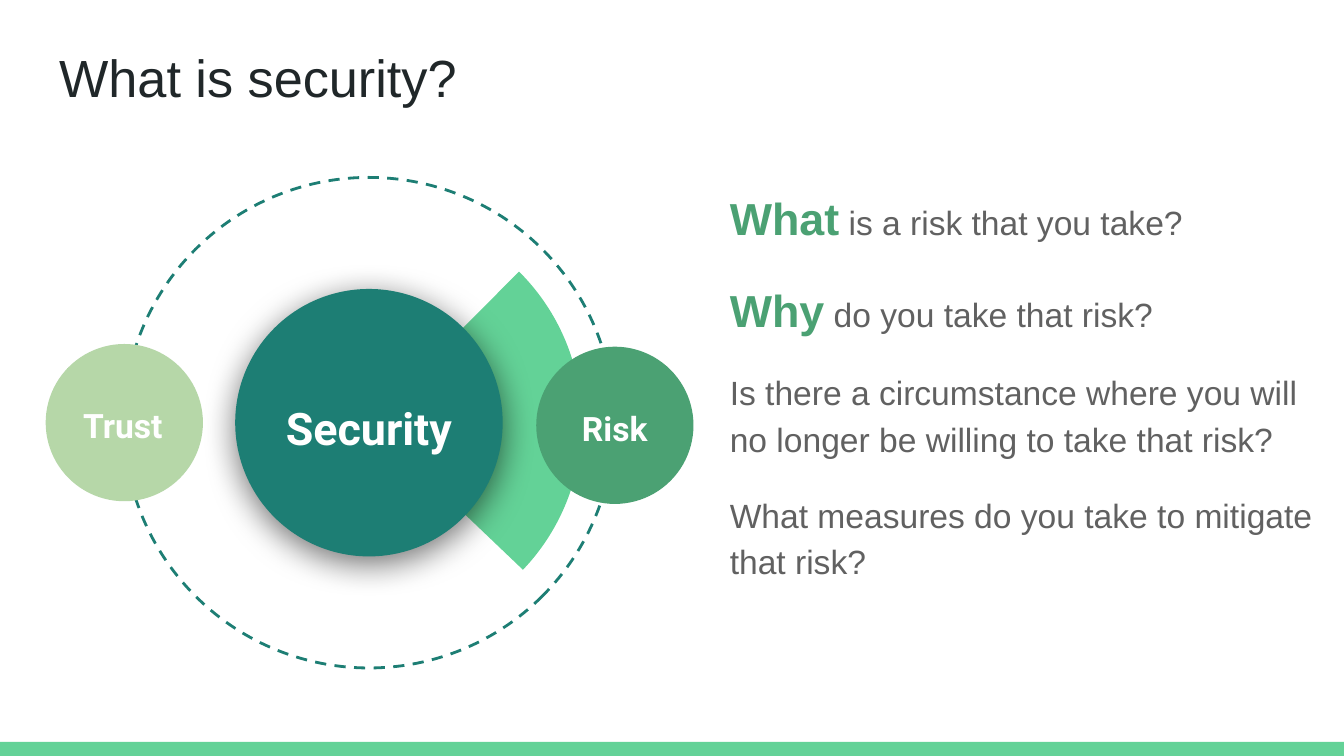
import lxml.etree
import pptx
import pptx.dml.color
import pptx.enum.dml
import pptx.enum.shapes
import pptx.enum.text
import pptx.oxml.ns
import pptx.util

Inches = pptx.util.Inches
Shapes = pptx.enum.shapes.MSO_SHAPE
Align = pptx.enum.text.PP_ALIGN
Anchor = pptx.enum.text.MSO_ANCHOR

MINT, TEAL, GREEN, SAGE = "63D297", "1D7E74", "4BA173", "B6D7A8"
WHITE, GREY, INK = "FFFFFF", "616161", "202729"

QUESTIONS = [
    [("What", 24, GREEN, True), (" is a risk that you take?", 18, GREY, False)],
    [("Why", 24, GREEN, True), (" do you take that risk?", 18, GREY, False)],
    [("Is there a circumstance where you will no longer be willing to take that risk?",
      18, GREY, False)],
    [("What measures do you take to mitigate that risk?", 18, GREY, False)],
]


def color(value):
    return pptx.dml.color.RGBColor.from_string(value)


def add_run(paragraph, text, size, fill, bold=False, font="Arial"):
    run = paragraph.add_run()
    run.text = text
    run.font.name = font
    run.font.size = pptx.util.Pt(size)
    run.font.bold = bold
    run.font.color.rgb = color(fill)


def add_shape(slide, kind, left, top, width, height, fill):
    shape = slide.shapes.add_shape(
        kind, Inches(left), Inches(top), Inches(width), Inches(height))
    shape.shadow.inherit = False
    shape.line.fill.background()
    if fill:
        shape.fill.solid()
        shape.fill.fore_color.rgb = color(fill)
    else:
        shape.fill.background()
    return shape


def set_frame(shape, anchor):
    frame = shape.text_frame
    frame.word_wrap = True
    frame.auto_size = pptx.enum.text.MSO_AUTO_SIZE.NONE
    frame.vertical_anchor = anchor
    frame.margin_left = frame.margin_right = Inches(0.1)
    frame.margin_top = frame.margin_bottom = Inches(0.1)
    return frame


def place(shape, left, top, width, height):
    shape.left, shape.top = Inches(left), Inches(top)
    shape.width, shape.height = Inches(width), Inches(height)


def add_soft_shadow(shape):
    effects = shape._element.spPr.find(pptx.oxml.ns.qn("a:effectLst"))
    shadow = lxml.etree.SubElement(
        effects, pptx.oxml.ns.qn("a:outerShdw"), blurRad=str(pptx.util.Pt(18)),
        dist=str(pptx.util.Pt(4)), dir="5400000", algn="bl", rotWithShape="0")
    tint = lxml.etree.SubElement(shadow, pptx.oxml.ns.qn("a:srgbClr"), val="000000")
    lxml.etree.SubElement(tint, pptx.oxml.ns.qn("a:alpha"), val="55000")


def add_label(slide, text, size, box, fill):
    label = add_shape(slide, Shapes.RECTANGLE, *box, fill)
    frame = set_frame(label, Anchor.MIDDLE)
    paragraph = frame.paragraphs[0]
    paragraph.alignment = Align.CENTER
    paragraph.line_spacing = 1.15
    add_run(paragraph, text, size, WHITE, True, "Roboto")


def add_disc(slide, text, size, left, top, diameter, label_box, fill, shadow=False):
    disc = add_shape(slide, Shapes.OVAL, left, top, diameter, diameter, fill)
    if shadow:
        add_soft_shadow(disc)
    add_label(slide, text, size, label_box, fill)


def add_orbit(slide):
    ring = add_shape(slide, Shapes.OVAL, 0.92, 1.32, 3.65, 3.65, None)
    ring.rotation = 225
    ring.line.color.rgb = color(TEAL)
    ring.line.width = pptx.util.Pt(1.5)
    ring.line.dash_style = pptx.enum.dml.MSO_LINE.DASH
    wedge = add_shape(slide, Shapes.PIE, 1.16, 1.56, 3.17, 3.17, MINT)
    wedge.rotation = 270
    wedge.adjustments[0] = 26.9
    wedge.adjustments[1] = 80.2


def fill_title(shape):
    place(shape, 0.34, 0.24, 9.32, 0.63)
    paragraph = set_frame(shape, Anchor.TOP).paragraphs[0]
    paragraph.alignment = Align.LEFT
    add_run(paragraph, "What is security?", 28, INK)


def fill_questions(shape):
    place(shape, 5.33, 1.26, 4.67, 3.74)
    frame = set_frame(shape, Anchor.TOP)
    for index, runs in enumerate(QUESTIONS):
        paragraph = frame.add_paragraph() if index else frame.paragraphs[0]
        properties = paragraph._p.get_or_add_pPr()
        properties.set("marL", "0")
        properties.set("indent", "0")
        lxml.etree.SubElement(properties, pptx.oxml.ns.qn("a:buNone"))
        paragraph.line_spacing = 1.15
        paragraph.space_before = pptx.util.Pt(16 if index else 0)
        for run in runs:
            add_run(paragraph, *run)
    paragraph.space_after = pptx.util.Pt(16)


def main():
    presentation = pptx.Presentation()
    presentation.slide_width = Inches(10)
    presentation.slide_height = presentation.slide_width * 9 // 16
    slide = presentation.slides.add_slide(presentation.slide_layouts[1])
    add_shape(slide, Shapes.RECTANGLE, 0, 5.52, 10, 0.11, MINT)
    fill_title(slide.shapes.title)
    add_orbit(slide)
    add_disc(slide, "Security", 24, 1.75, 2.15, 1.99, (2.01, 2.7, 1.47, 0.9), TEAL, True)
    add_disc(slide, "Trust", 18, 0.34, 2.56, 1.17, (0.5, 2.74, 0.83, 0.8), SAGE)
    add_disc(slide, "Risk", 18, 3.99, 2.58, 1.17, (4.16, 2.76, 0.83, 0.8), GREEN)
    fill_questions(slide.placeholders[1])
    presentation.save("out.pptx")


if __name__ == "__main__":
    main()
